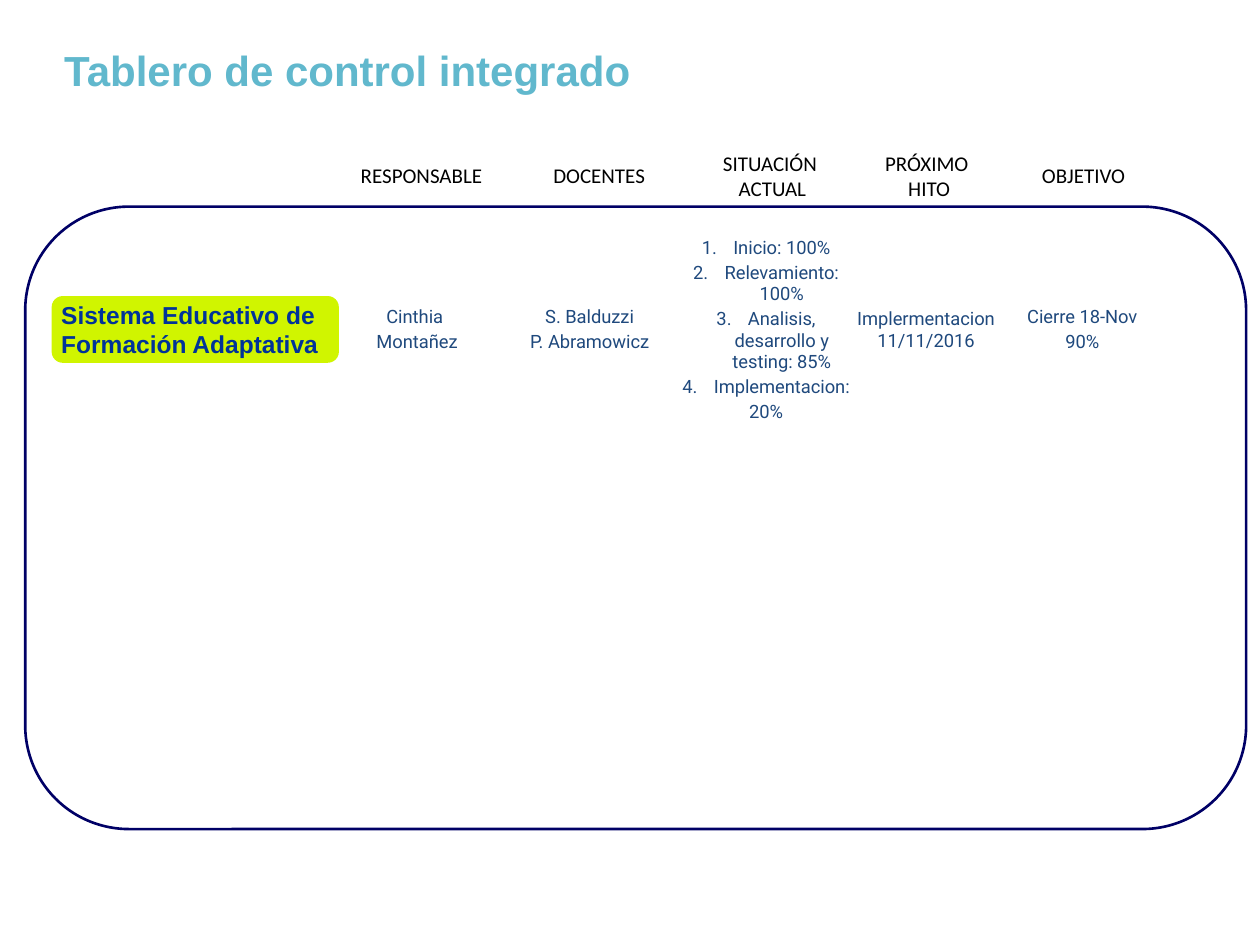
import pptx
import pptx.util
import pptx.dml.color
import pptx.enum.shapes
import pptx.enum.text
import pptx.oxml
from dataclasses import dataclass

Inches, Pt = pptx.util.Inches, pptx.util.Pt
RGBColor = pptx.dml.color.RGBColor
PP_ALIGN = pptx.enum.text.PP_ALIGN
MIDDLE = pptx.enum.text.MSO_ANCHOR.MIDDLE
ROUNDED = pptx.enum.shapes.MSO_SHAPE.FLOWCHART_ALTERNATE_PROCESS

SKY = RGBColor(0x61, 0xB8, 0xCD)
SLATE = RGBColor(0x1F, 0x49, 0x7D)
NAVY = RGBColor(0x00, 0x00, 0x66)
ROYAL = RGBColor(0x00, 0x33, 0x99)
LIME = RGBColor(0xD0, 0xF5, 0x00)
BLACK = RGBColor(0, 0, 0)
WHITE = RGBColor(0xFF, 0xFF, 0xFF)

BOARD_LEFT = 2.64


@dataclass(frozen=True)
class Style:
    font: str
    size: float
    color: RGBColor
    bold: bool = False
    align: PP_ALIGN = PP_ALIGN.CENTER
    before: float = 0


@dataclass(frozen=True)
class Entry:
    lines: tuple[str, ...]
    numbered: int = 0  # how many leading lines carry a number


@dataclass(frozen=True)
class Band:
    top: float
    height: float
    columns: tuple[float, ...]
    margins: tuple[float, float]  # sides, top and bottom
    style: Style
    entries: tuple[Entry, ...]


TITLE = Style("Arial", 24, SKY, bold=True, align=PP_ALIGN.LEFT)
PROJECT = Style("Arial", 14, ROYAL, bold=True, align=PP_ALIGN.LEFT)
HEADING = Style("Calibri", 12, BLACK)
DETAIL = Style("Roboto", 10.5, SLATE, before=2.1)

STATUS = Band(1.81, 1.62, (1.34, 1.4, 1.4, 1.14, 1.34), (0, 0.04), DETAIL, (
    Entry(("Cinthia ", "Montañez")),
    Entry(("S. Balduzzi", "P. Abramowicz")),
    Entry(("Inicio: 100%", "Relevamiento: 100%",
           "Analisis, desarrollo y testing: 85%",
           "Implementacion:", "20%"), numbered=4),
    Entry(("Implermentacion 11/11/2016",)),
    Entry(("Cierre 18-Nov", "90%")),
))
HEADINGS = Band(1.15, 0.5, (1.41, 1.41, 1.34, 1.15, 1.3), (0.1, 0.05), HEADING, (
    Entry(("RESPONSABLE",)),
    Entry(("DOCENTES",)),
    Entry(("SITUACIÓN ", "ACTUAL")),
    Entry(("PRÓXIMO ", "HITO")),
    Entry(("OBJETIVO",)),
))


def number(paragraph) -> None:
    properties = paragraph._p.get_or_add_pPr()
    properties.set("marL", str(Inches(0.25)))
    properties.set("indent", str(-Inches(0.25)))
    properties.append(pptx.oxml.parse_xml(
        '<a:buAutoNum xmlns:a="http://schemas.openxmlformats.org/drawingml/2006/main"'
        ' type="arabicPeriod"/>'))


def write(frame, entry: Entry, style: Style) -> None:
    for index, line in enumerate(entry.lines):
        paragraph = frame.add_paragraph() if index else frame.paragraphs[0]
        paragraph.alignment = style.align
        paragraph.space_before = Pt(style.before)
        if index < entry.numbered:
            number(paragraph)
        run = paragraph.add_run()
        run.text = line
        run.font.name, run.font.size = style.font, Pt(style.size)
        run.font.bold = style.bold
        run.font.color.rgb = style.color


def set_margins(holder, sides: float, ends: float) -> None:
    holder.margin_left = holder.margin_right = Inches(sides)
    holder.margin_top = holder.margin_bottom = Inches(ends)


def add_band(slide, band: Band) -> None:
    table = slide.shapes.add_table(
        1, len(band.columns), Inches(BOARD_LEFT), Inches(band.top),
        Inches(sum(band.columns)), Inches(band.height)).table
    table.first_row = table.horz_banding = False
    for index, (width, entry) in enumerate(zip(band.columns, band.entries)):
        table.columns[index].width = Inches(width)
        cell = table.cell(0, index)
        cell.fill.solid()
        cell.fill.fore_color.rgb = WHITE
        cell.vertical_anchor = MIDDLE
        set_margins(cell, *band.margins)
        write(cell.text_frame, entry, band.style)


def add_rounded(slide, left: float, top: float, width: float, height: float):
    shape = slide.shapes.add_shape(
        ROUNDED, Inches(left), Inches(top), Inches(width), Inches(height))
    shape.shadow.inherit = False
    return shape


deck = pptx.Presentation()
deck.slide_width, deck.slide_height = Inches(10), Inches(7.5)
slide = deck.slides.add_slide(deck.slide_layouts[5])

# Title
title = slide.shapes.title
title.left, title.top = Inches(0.41), Inches(0.21)
title.width, title.height = Inches(9), Inches(0.69)
title.text_frame.vertical_anchor = MIDDLE
write(title.text_frame, Entry(("Tablero de control integrado",)), TITLE)

# Status row and its headings
for band in (STATUS, HEADINGS):
    add_band(slide, band)

# Frame around the board
board = add_rounded(slide, 0.2, 1.64, 9.69, 4.94)
board.fill.background()
board.line.color.rgb = NAVY
board.line.width = Pt(1.5)

# Project label
project = add_rounded(slide, 0.41, 2.35, 2.28, 0.53)
project.fill.solid()
project.fill.fore_color.rgb = LIME
project.line.fill.background()
project.text_frame.word_wrap = True
project.text_frame.vertical_anchor = MIDDLE
set_margins(project.text_frame, 0.05, 0.04)
write(project.text_frame, Entry(("Sistema Educativo de Formación Adaptativa",)), PROJECT)

deck.save("out.pptx")
